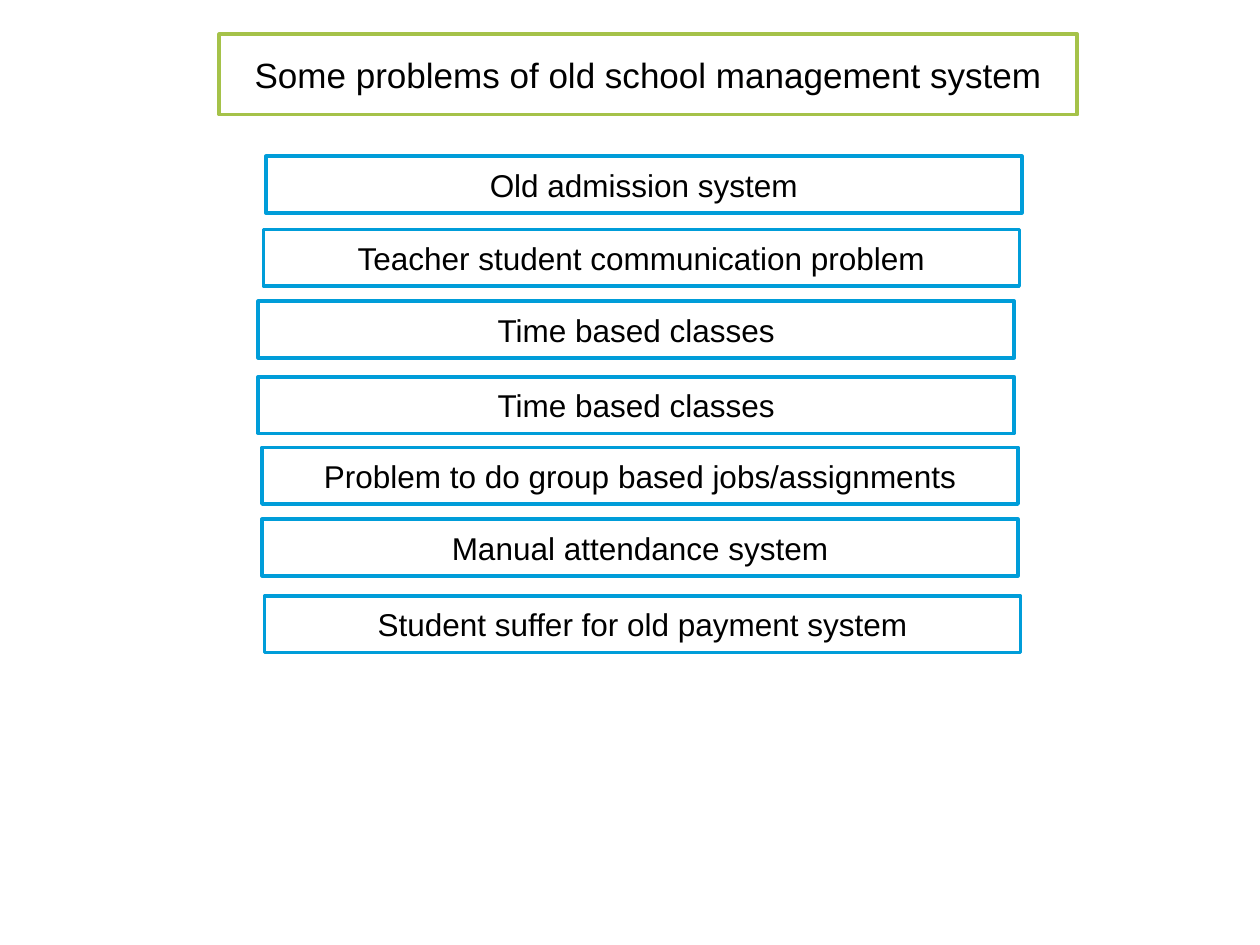
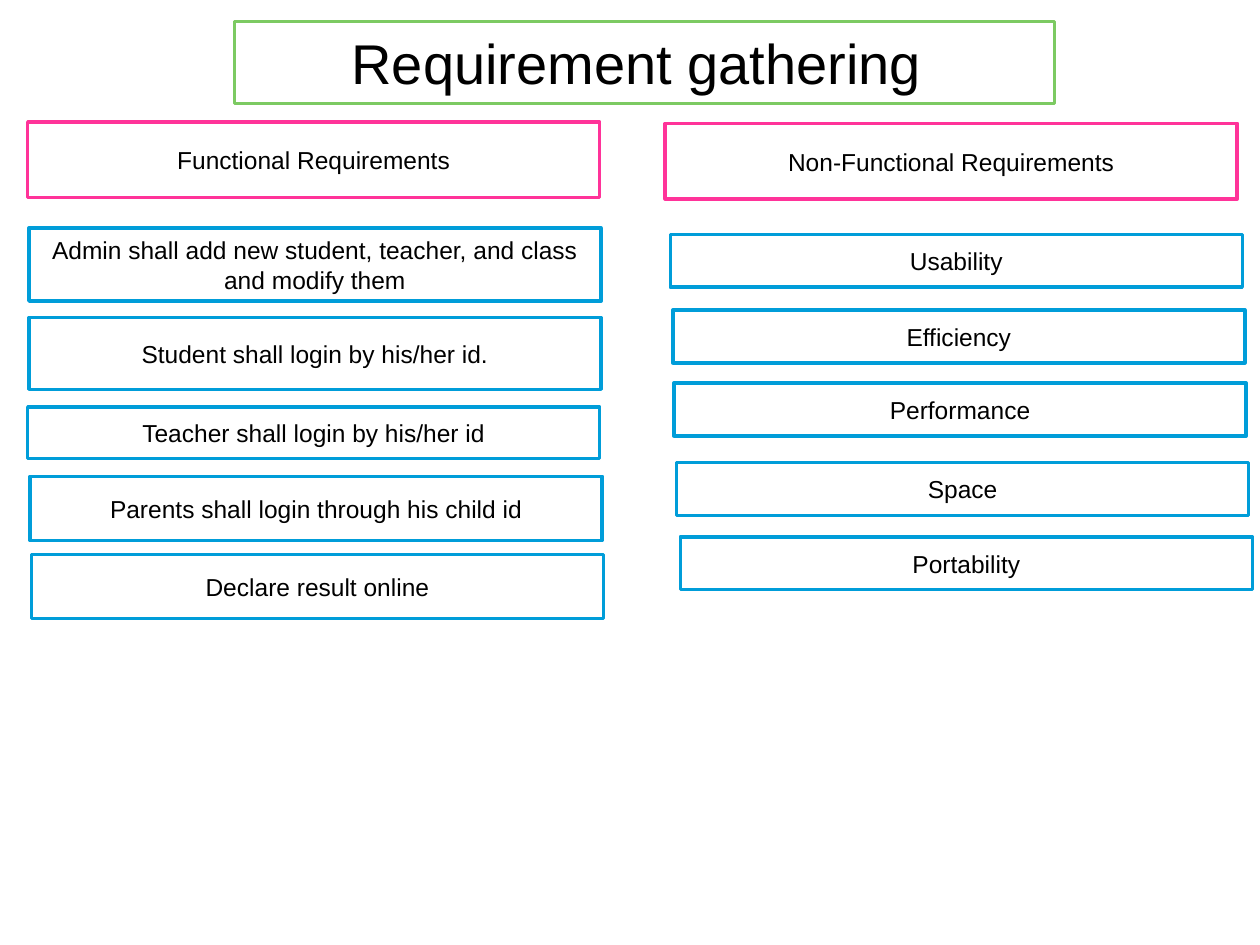
from collections import namedtuple

from pptx import Presentation
from pptx.dml.color import RGBColor
from pptx.enum.shapes import MSO_SHAPE as Preset
from pptx.enum.text import MSO_ANCHOR as Anchor, MSO_AUTO_SIZE as AutoSize, PP_ALIGN as Align
from pptx.util import Inches, Pt

WHITE = RGBColor(0xFF, 0xFF, 0xFF)
BLACK = RGBColor(0x00, 0x00, 0x00)
OLIVE = RGBColor(0xA5, 0xC2, 0x49)
GREEN = RGBColor(0x7C, 0xCA, 0x62)
BLUE = RGBColor(0x00, 0x9D, 0xD9)
PINK = RGBColor(0xFF, 0x33, 0x99)

FONT = "Arial"
WIDTH, HEIGHT = Inches(10), Inches(7.5)
COLUMN, ROW = WIDTH / 100, HEIGHT / 75
TITLE_LAYOUT = 5

Box = namedtuple("Box", "left top width height")
Entry = namedtuple("Entry", "text shift top height")

PROBLEM_HEIGHT = 4.5
PROBLEMS = [
    Entry("Old admission system", 0.6, 0, PROBLEM_HEIGHT),
    Entry("Teacher student communication problem", 0.4, 5.8, PROBLEM_HEIGHT),
    Entry("Time based classes", 0, 11.5, PROBLEM_HEIGHT),
    Entry("Time based classes", 0, 17.5, PROBLEM_HEIGHT),
    Entry("Problem to do group based jobs/assignments", 0.3, 23.1, PROBLEM_HEIGHT),
    Entry("Manual attendance system", 0.3, 28.8, PROBLEM_HEIGHT),
    Entry("Student suffer for old payment system", 0.5, 34.9, PROBLEM_HEIGHT),
]

FUNCTIONAL = [
    Entry("Admin shall add new student, teacher, and class and modify them", 0.1, 8.4, 5.8),
    Entry("Student shall login by his/her id.", 0.1, 15.5, 5.7),
    Entry("Teacher shall login by his/her id", 0, 22.6, 4.1),
    Entry("Parents shall login through his child id", 0.2, 28.1, 5.1),
    Entry("Declare result online", 0.3, 34.3, 5.1),
]

QUALITY_HEIGHT = 4.2
NON_FUNCTIONAL = [
    Entry("Usability", 0.4, 8.8, QUALITY_HEIGHT),
    Entry("Efficiency", 0.6, 14.8, QUALITY_HEIGHT),
    Entry("Performance", 0.7, 20.6, QUALITY_HEIGHT),
    Entry("Space", 0.9, 26.9, QUALITY_HEIGHT),
    Entry("Portability", 1.2, 32.8, QUALITY_HEIGHT),
]


def place(box):
    """Turn a box in grid units into slide lengths."""
    return (round(box.left * COLUMN), round(box.top * ROW),
            round(box.width * COLUMN), round(box.height * ROW))


def style_frame(frame, text, size, border, filled=True):
    """Give a frame its border, fill and centred text."""
    if filled:
        frame.fill.solid()
        frame.fill.fore_color.rgb = WHITE
    else:
        frame.fill.background()
    frame.line.color.rgb = border
    frame.line.width = Pt(2)
    body = frame.text_frame
    body.text = text
    body.word_wrap = True
    body.auto_size = AutoSize.NONE
    body.vertical_anchor = Anchor.MIDDLE
    paragraph = body.paragraphs[0]
    paragraph.alignment = Align.CENTER
    font = paragraph.runs[0].font
    font.name = FONT
    font.size = Pt(size)
    font.color.rgb = BLACK


def add_titled_slide(deck, text, box, size, border):
    """Add a slide whose title sits in a bordered box."""
    slide = deck.slides.add_slide(deck.slide_layouts[TITLE_LAYOUT])
    title = slide.shapes.title
    title.left, title.top, title.width, title.height = place(box)
    style_frame(title, text, size, border)
    return slide


def add_frame(slide, box, text, size, border, filled=True):
    """Add a bordered rectangle with centred text."""
    frame = slide.shapes.add_shape(Preset.RECTANGLE, *place(box))
    frame.shadow.inherit = False
    style_frame(frame, text, size, border, filled)


def add_entries(slide, box, entries, size):
    """Stack blue frames inside a box."""
    for entry in entries:
        area = Box(box.left + entry.shift, box.top + entry.top, box.width, entry.height)
        add_frame(slide, area, entry.text, size, BLUE)


def add_requirements(slide, box, heading, entries):
    """Add a pink heading with its requirements below."""
    add_frame(slide, box._replace(height=6), heading, 14, PINK, filled=False)
    add_entries(slide, box, entries, 14)


def build_problems(deck):
    """Build the slide on problems of the old system."""
    slide = add_titled_slide(deck, "Some problems of old school management system",
                             Box(17.4, 2.7, 68.1, 6.4), 20, OLIVE)
    add_entries(slide, Box(20.5, 12.4, 60, 39.4), PROBLEMS, 18)


def build_gathering(deck):
    """Build the slide with two columns of requirements."""
    slide = add_titled_slide(deck, "Requirement gathering ",
                             Box(18.6, 1.7, 65.1, 6.5), 32, GREEN)
    add_requirements(slide, Box(2.2, 9.7, 45.4, 39.4), "Functional Requirements", FUNCTIONAL)
    add_requirements(slide, Box(52.8, 9.8, 45.4, 37), "Non-Functional Requirements",
                     NON_FUNCTIONAL)


def main():
    """Build and save the presentation."""
    deck = Presentation()
    deck.slide_width, deck.slide_height = WIDTH, HEIGHT
    build_problems(deck)
    build_gathering(deck)
    deck.save("out.pptx")


if __name__ == "__main__":
    main()
